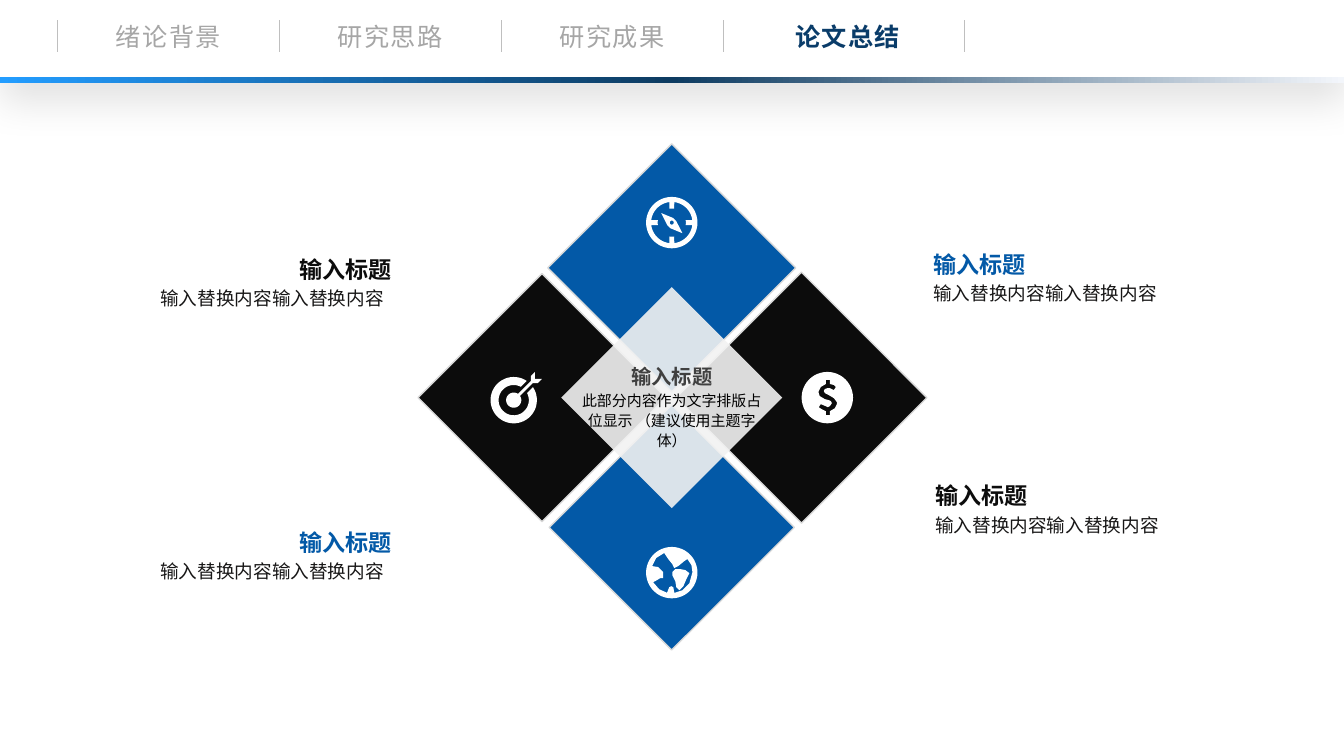
import math

import lxml.etree
import pptx
import pptx.dml.color
import pptx.enum.shapes
import pptx.enum.text
import pptx.oxml
import pptx.oxml.ns
import pptx.util

Cm, Pt = pptx.util.Cm, pptx.util.Pt
KIND = pptx.enum.shapes.MSO_SHAPE
ALIGN = pptx.enum.text.PP_ALIGN
ANCHOR = pptx.enum.text.MSO_ANCHOR
FONT = "Noto Sans CJK SC"
BLUE, BLACK, WHITE, PALE = "0359A7", "0C0C0C", "FFFFFF", "F2F2F2"
UNIT = 0.0254  # icon grid step in cm
SIDE = 51  # icon side in grid steps


def color(code):
    return pptx.dml.color.RGBColor.from_string(code)


def parts(xml):
    space = pptx.oxml.ns.nsdecls("a")
    return pptx.oxml.parse_xml(xml.replace(">", f" {space}>", 1))


def write(box, text, size=18, ink="000000", bold=False, align=ALIGN.LEFT,
          anchor=ANCHOR.TOP, lead=None, track=None, pad=(0, 0, 0, 0)):
    frame = box.text_frame
    frame.word_wrap = True
    frame.auto_size = pptx.enum.text.MSO_AUTO_SIZE.NONE
    frame.vertical_anchor = anchor
    (frame.margin_left, frame.margin_top,
     frame.margin_right, frame.margin_bottom) = map(Cm, pad)
    para = frame.paragraphs[0]
    para.alignment = align
    if lead:
        para.line_spacing = lead
    run = para.add_run()
    run.text = text
    font = run.font
    font.size, font.bold, font.name = Pt(size), bold, FONT
    font.color.rgb = color(ink)
    props = run._r.get_or_add_rPr()
    if track:
        props.set("spc", str(track))
    east = lxml.etree.SubElement(props, pptx.oxml.ns.qn("a:ea"))
    east.set("typeface", FONT)


def label(slide, x, y, w, h, text, **form):
    write(slide.shapes.add_textbox(Cm(x), Cm(y), Cm(w), Cm(h)), text, **form)


def paint(shape, fill, edge=None):
    shape.shadow.inherit = False
    shape.fill.solid()
    shape.fill.fore_color.rgb = color(fill)
    if edge:
        shape.line.color.rgb = color(edge)
        shape.line.width = Pt(1)
    else:
        shape.line.fill.background()


def block(slide, x, y, w, h, fill, edge=None):
    shape = slide.shapes.add_shape(KIND.RECTANGLE, Cm(x), Cm(y), Cm(w), Cm(h))
    paint(shape, fill, edge)
    return shape


def rhomb(slide, mid_x, mid_y, side, fill, edge=None):
    shape = block(slide, mid_x - side / 2, mid_y - side / 2, side, side, fill, edge)
    shape.rotation = 315
    return shape


# Icon outlines on a grid of 51 by 51 steps
def arc(mid_x, mid_y, r, start=0, end=360, count=48):
    turns = [math.radians(start + (end - start) * i / count) for i in range(count + 1)]
    return [(mid_x + r * math.cos(t), mid_y + r * math.sin(t)) for t in turns]


def disc(r):
    return arc(SIDE / 2, SIDE / 2, r)


def dial():
    rim = []
    for turn in range(0, 360, 90):
        rim += arc(25.5, 25.5, 20.5, turn + 7, turn + 83, 12)
        rim += arc(25.5, 25.5, 14, turn + 80, turn + 100, 4)
    return rim


COMPASS = [disc(25.5), dial(),
           [(15, 16), (21, 28), (24, 31), (36, 36), (30, 24), (27, 21)], disc(2)]
TARGET = [arc(23, 28, 23, -34, 304) + arc(23, 28, 15, 298, -28),
          [(44, 7), (44, 0), (40, 4), (40, 9)] + arc(23, 28, 7.5, 304, -34)
          + [(42, 11), (47, 11), (51, 7)]]
DOLLAR = [disc(25.5), [
    (33, 36), (28, 39), (28, 43), (24, 43), (24, 39), (20, 37), (17, 35), (19, 32),
    (24, 34), (26, 35), (28, 34), (30, 31), (29, 29), (27, 28), (23, 27), (18, 24),
    (17, 21), (17, 19), (19, 15), (24, 12), (24, 8), (28, 8), (28, 12), (32, 13),
    (34, 15), (32, 18), (28, 16), (26, 16), (23, 17), (22, 19), (23, 21), (27, 23),
    (32, 26), (35, 30), (35, 32)]]
GLOBE = [disc(25.5), [
    (27, 46), (28, 45), (27, 40), (25, 39), (23, 40), (21, 45), (22, 46), (13, 42),
    (7, 35), (9, 34), (14, 31), (17, 31), (17, 25), (12, 20), (6, 19), (10, 11),
    (18, 6), (22, 12), (26, 17), (28, 21), (32, 19), (38, 14), (41, 12), (45, 18),
    (46, 25), (43, 36), (36, 43)], [
    (39, 23), (34, 22), (29, 22), (26, 25), (26, 28), (29, 34), (30, 40), (33, 43),
    (37, 39), (40, 32), (43, 26)]]


def icon(slide, mid_x, mid_y, rings):
    rings = [[(Cm(UNIT * x), Cm(UNIT * y)) for x, y in ring] for ring in rings]
    pen = slide.shapes.build_freeform(*rings[0][0])
    for i, ring in enumerate(rings):
        if i:
            pen.move_to(*ring[0])
        pen.add_line_segments(ring[1:], close=True)
    half = UNIT * SIDE / 2
    paint(pen.convert_to_shape(Cm(mid_x - half), Cm(mid_y - half)), WHITE)


# Top bar with section tabs
def header(slide, x, y, w, h):
    bar = block(slide, x, y, w, h, WHITE)
    props = bar._element.spPr
    props.remove(props.find(pptx.oxml.ns.qn("a:effectLst")))
    props.append(parts(
        f'<a:effectLst><a:outerShdw blurRad="{Pt(28)}" dist="{Pt(15)}" dir="5400000">'
        '<a:srgbClr val="000000"><a:alpha val="11000"/></a:srgbClr>'
        '</a:outerShdw></a:effectLst>'))
    slide.shapes._spTree.insert(2, bar._element)  # behind the title

    strip = block(slide, x, y + h - 0.08, w, 0.14, BLUE)
    stops = "".join(f'<a:gs pos="{pos}"><a:srgbClr val="{code}"/></a:gs>' for pos, code in
                    ((0, "239DFF"), (50000, "0D3B61"), (100000, "F3F6FB")))
    props = strip._element.spPr
    props.replace(props.find(pptx.oxml.ns.qn("a:solidFill")), parts(
        f'<a:gradFill><a:gsLst>{stops}</a:gsLst><a:lin ang="0" scaled="0"/></a:gradFill>'))

    edges = [x + 1.45 + 5.59 * i for i in range(4)] + [x + 24.31]
    for edge in edges:
        line = slide.shapes.add_connector(
            pptx.enum.shapes.MSO_CONNECTOR.STRAIGHT,
            Cm(edge), Cm(y + 0.51), Cm(edge), Cm(y + 1.32))
        line.line.color.rgb = color("BFBFBF")
        line.line.width = Pt(0.5)
        line._element.spPr.append(parts("<a:effectLst></a:effectLst>"))

    form = dict(align=ALIGN.CENTER, anchor=ANCHOR.MIDDLE, track=100)
    for left, text in zip(edges, ("绪论背景", "研究思路", "研究成果")):
        label(slide, left, y + 0.41, 5.59, 1.02, text, ink="A6A6A6", **form)
    title = slide.shapes.title
    title.left, title.top = Cm(edges[3] + 0.09), Cm(y + 0.41)
    title.width, title.height = Cm(6.1), Cm(1.02)
    write(title, "论文总结", ink="0A3C69", bold=True, **form)


# Four tilted squares around a pale centre
def cross(slide, x, y, w, h):
    mid_x, mid_y = x + w / 2, y + h / 2
    arms = ((0, -1, 4.42, BLUE, COMPASS), (0, 1, 4.37, BLUE, GLOBE),
            (-1, 0, 4.42, BLACK, TARGET), (1, 0, 4.47, BLACK, DOLLAR))
    for dx, dy, side, fill, _ in arms:
        rhomb(slide, mid_x + 3.27 * dx, mid_y + 3.27 * dy, side, fill, "D9D9D9")
    core = rhomb(slide, mid_x, mid_y, 3.94, PALE)
    tint = core._element.spPr.find(".//" + pptx.oxml.ns.qn("a:srgbClr"))
    tint.append(parts('<a:alpha val="90000"></a:alpha>'))
    for dx, dy, _, _, rings in arms:
        icon(slide, mid_x + 3.92 * dx, mid_y + 4.41 * dy, rings)
    label(slide, mid_x - 1.5, mid_y - 0.85, 3, 0.53, "输入标题", size=14.5,
          ink="404040", bold=True, align=ALIGN.CENTER)
    label(slide, mid_x - 2.59, mid_y - 0.32, 5.18, 1.27,
          "此部分内容作为文字排版占位显示 （建议使用主题字体）", size=10.7,
          align=ALIGN.CENTER, lead=1.1, pad=(0.25, 0.13, 0.25, 0.13))


# Heading with a line of text under it
def note(slide, x, y, w, h, ink, align):
    pad = (0, 0, 0.15, 0) if align == ALIGN.RIGHT else (0, 0, 0, 0)
    label(slide, x, y, w, 0.61, "输入标题", size=16.5, ink=ink, bold=True,
          align=align, pad=pad)
    label(slide, x, y + 0.63, w, h - 0.63, "输入替换内容输入替换内容", size=13.3,
          ink="181717", lead=1.3)


def main():
    deck = pptx.Presentation()
    deck.slide_width, deck.slide_height = Cm(33.87), Cm(19.05)
    slide = deck.slides.add_slide(deck.slide_layouts[5])
    header(slide, 0, 0, 33.87, 2.03)
    cross(slide, 10.43, 3.52, 13, 13)
    for x, y, ink, align in ((23.52, 6.3, BLUE, ALIGN.LEFT), (23.57, 12.14, BLACK, ALIGN.LEFT),
                             (4.04, 13.31, BLUE, ALIGN.RIGHT), (4.04, 6.43, BLACK, ALIGN.RIGHT)):
        note(slide, x, y, 5.97, 1.9, ink, align)
    deck.save("out.pptx")


if __name__ == "__main__":
    main()
